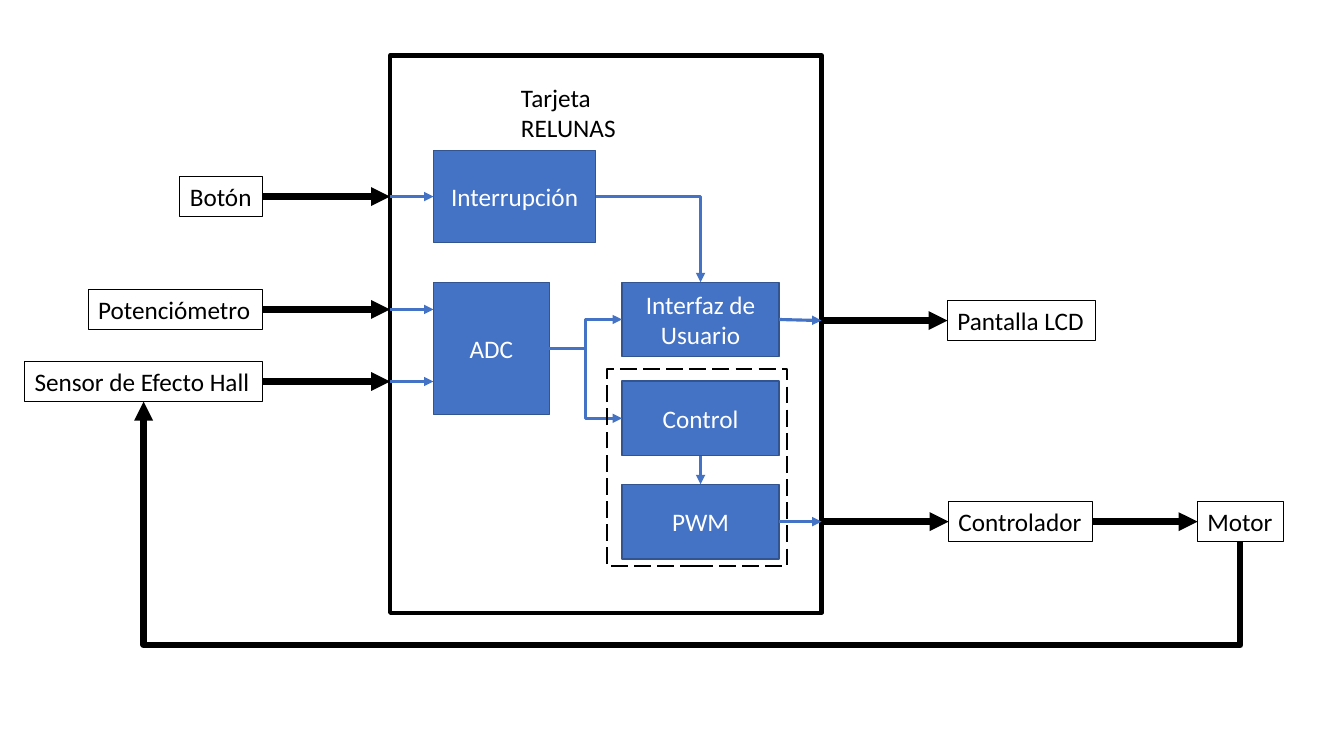
from lxml.etree import SubElement
from pptx import Presentation
from pptx.dml.color import RGBColor
from pptx.enum.dml import MSO_LINE
from pptx.enum.shapes import MSO_CONNECTOR, MSO_SHAPE
from pptx.enum.text import MSO_ANCHOR, MSO_AUTO_SIZE, PP_ALIGN
from pptx.oxml.ns import qn
from pptx.util import Inches, Pt

COLORS = {"ink": "000000", "block": "4472C4", "edge": "325491", "paper": "FFFFFF"}
CELL = Inches(0.1)  # side of one grid square; positions are columns and rows
COLUMNS, ROWS = 133.33, 75
TOP, LEFT, BOTTOM, RIGHT = range(4)
LABEL_HEIGHT = 4
CARD_LEFT, CARD_RIGHT = 38.7, 81.5
INPUT_RIGHT = 26.05
SIGNAL = ("block", 2.25)
CABLE = ("ink", 4.5)


def cells(*counts):
    return [round(count * CELL) for count in counts]


def color(name):
    return RGBColor.from_string(COLORS[name])


def write(shape, text, ink):
    shape.text_frame.text = text
    paragraph = shape.text_frame.paragraphs[0]
    font = paragraph.runs[0].font
    font.name, font.size, font.color.rgb = "Calibri", Pt(18), color(ink)
    return paragraph


def add_box(slide, area, line, weight, fill=None):
    shape = slide.shapes.add_shape(MSO_SHAPE.RECTANGLE, *cells(*area))
    shape.shadow.inherit = False
    if fill:
        shape.fill.solid()
        shape.fill.fore_color.rgb = color(fill)
    else:
        shape.fill.background()
    shape.line.color.rgb = color(line)
    shape.line.width = Pt(weight)
    return shape


def add_block(slide, text, area):
    block = add_box(slide, area, "edge", 1, "block")
    write(block, text, "paper").alignment = PP_ALIGN.CENTER
    block.text_frame.word_wrap = True
    block.text_frame.vertical_anchor = MSO_ANCHOR.MIDDLE
    return block


def fit_label(shape, text):
    """Write left-aligned text in a shape that takes the size of its text."""
    write(shape, text, "ink").alignment = PP_ALIGN.LEFT
    frame = shape.text_frame
    frame.word_wrap = False
    frame.auto_size = MSO_AUTO_SIZE.SHAPE_TO_FIT_TEXT
    frame.vertical_anchor = MSO_ANCHOR.TOP


def add_label(slide, text, left, middle, width):
    area = (left, middle - LABEL_HEIGHT / 2, width, LABEL_HEIGHT)
    label = add_box(slide, area, "ink", 0.75)
    fit_label(label, text)
    return label


def side_middle(shape, side):
    """Return the middle of a side, in columns and rows."""
    across = {LEFT: 0, RIGHT: 1}.get(side, 0.5)
    down = {TOP: 0, BOTTOM: 1}.get(side, 0.5)
    return ((shape.left + across * shape.width) / CELL,
            (shape.top + down * shape.height) / CELL)


def add_arrow(slide, start, end, style, kind=MSO_CONNECTOR.STRAIGHT):
    line_color, weight = style
    arrow = slide.shapes.add_connector(kind, *cells(*start, *end))
    arrow.line.color.rgb = color(line_color)
    arrow.line.width = Pt(weight)
    SubElement(arrow.line._get_or_add_ln(), qn("a:tailEnd"), type="triangle")
    SubElement(arrow._element.spPr, qn("a:effectLst"))
    return arrow


def join(slide, source, source_side, target, target_side, style,
         kind=MSO_CONNECTOR.STRAIGHT):
    arrow = add_arrow(slide, side_middle(source, source_side),
                      side_middle(target, target_side), style, kind)
    arrow.begin_connect(source, source_side)
    arrow.end_connect(target, target_side)
    return arrow


def add_input(slide, label, block_left):
    """Lead a label's cable to the card and its signal on to a block."""
    edge, row = side_middle(label, RIGHT)
    cable = add_arrow(slide, (edge, row), (CARD_LEFT, row), CABLE)
    cable.begin_connect(label, RIGHT)
    add_arrow(slide, (CARD_LEFT, row), (block_left, row), SIGNAL)


def add_output(slide, block, label):
    """Lead a block's signal to the card's edge and a cable on to a label."""
    exit_point = (CARD_RIGHT, side_middle(label, LEFT)[1])
    signal = add_arrow(slide, side_middle(block, RIGHT), exit_point, SIGNAL)
    signal.begin_connect(block, RIGHT)
    cable = add_arrow(slide, exit_point, side_middle(label, LEFT), CABLE)
    cable.end_connect(label, LEFT)


def add_feedback(slide, source, target, lane):
    """Draw an elbow from one bottom side to another through a lower lane."""
    start_x, start_y = side_middle(source, BOTTOM)
    end_x, end_y = side_middle(target, BOTTOM)
    center_x, center_y = (start_x + end_x) / 2, (start_y + end_y) / 2
    rise, run = start_y - end_y, start_x - end_x
    arrow = add_arrow(slide, (center_x + rise / 2, center_y - run / 2),
                      (center_x - rise / 2, center_y + run / 2),
                      CABLE, MSO_CONNECTOR.ELBOW)
    properties = arrow._element.spPr
    properties.find(qn("a:xfrm")).set("rot", str(90 * 60000))
    adjustment = round((start_y - lane) / rise * 100000)
    SubElement(properties.find(qn("a:prstGeom")).find(qn("a:avLst")),
               qn("a:gd"), name="adj1", fmla=f"val {adjustment}")


def main():
    presentation = Presentation()
    presentation.slide_width, presentation.slide_height = cells(COLUMNS, ROWS)
    slide = presentation.slides.add_slide(presentation.slide_layouts[6])

    add_box(slide, (CARD_LEFT, 5.5, CARD_RIGHT - CARD_LEFT, 55.3), "ink", 3)
    title = slide.shapes.add_textbox(*cells(50.7, 7.7, 18.8, LABEL_HEIGHT))
    fit_label(title, "Tarjeta RELUNAS")

    button, potentiometer, sensor = [
        add_label(slide, text, INPUT_RIGHT - width, middle, width)
        for text, middle, width in (("Botón", 19.5, 8.2),
                                    ("Potenciómetro", 30.7, 17.3),
                                    ("Sensor de Efecto Hall", 37.85, 23.6))]
    display = add_label(slide, "Pantalla LCD", 94, 31.8, 14.7)
    driver = add_label(slide, "Controlador", 94.1, 51.75, 14.3)
    motor = add_label(slide, "Motor", 118.8, 51.75, 8.5)

    interrupt = add_block(slide, "Interrupción", (43, 14.95, 16.1, 9.1))
    converter = add_block(slide, "ADC", (43, 28, 11.5, 13.1))
    interface, control, pwm = [
        add_block(slide, text, (61.7, top, 15.6, 7.4))
        for text, top in (("Interfaz de Usuario", 28), ("Control", 37.8),
                          ("PWM", 48.05))]

    for label in (button, potentiometer, sensor):
        add_input(slide, label, 43)
    add_output(slide, interface, display)
    add_output(slide, pwm, driver)

    join(slide, control, BOTTOM, pwm, TOP, SIGNAL)
    join(slide, driver, RIGHT, motor, LEFT, CABLE)
    for target in (interface, control):
        join(slide, converter, RIGHT, target, LEFT, SIGNAL, MSO_CONNECTOR.ELBOW)
    corner = join(slide, interrupt, RIGHT, interface, TOP, SIGNAL,
                  MSO_CONNECTOR.ELBOW)
    corner._element.spPr.find(qn("a:prstGeom")).set("prst", "bentConnector2")
    add_feedback(slide, motor, sensor, 64)

    control_group = add_box(slide, (60.2, 36.6, 17.9, 19.6), "ink", 1.5)
    control_group.line.dash_style = MSO_LINE.LONG_DASH
    presentation.save("out.pptx")


if __name__ == "__main__":
    main()
